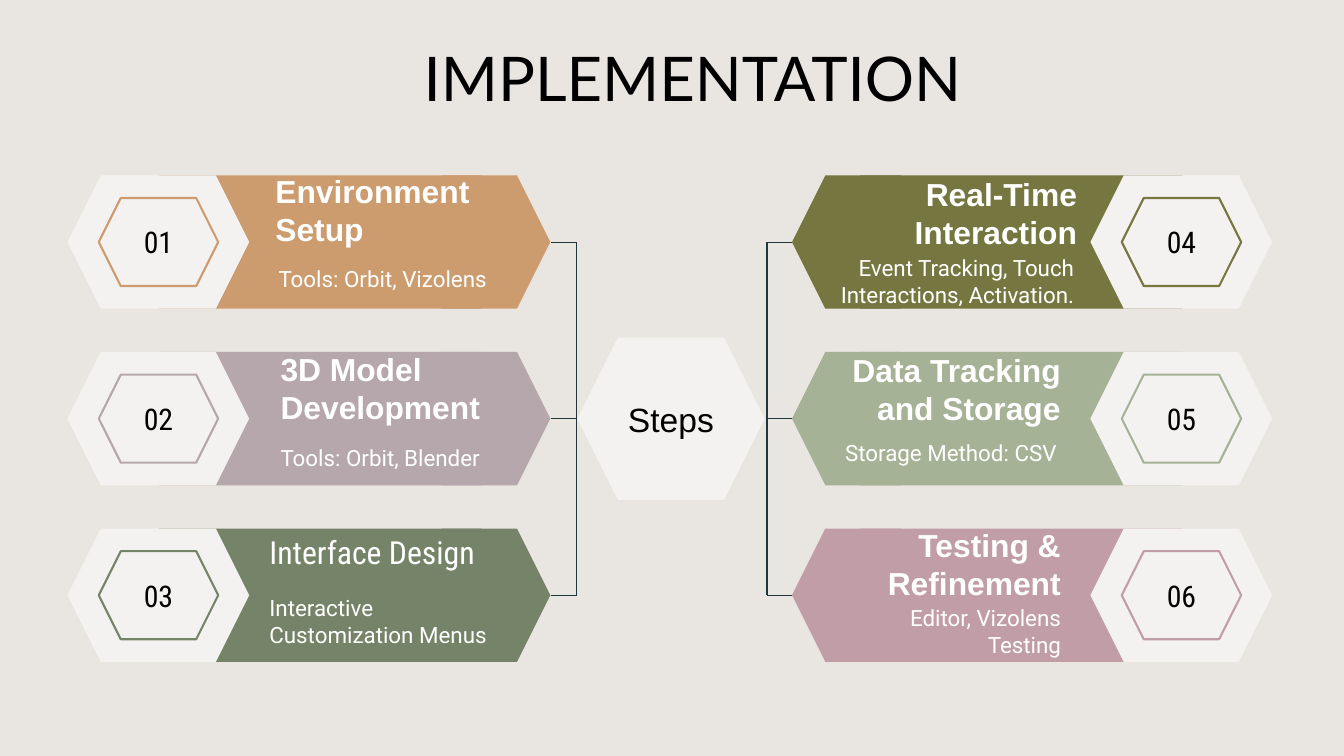
"""Build the IMPLEMENTATION slide: six step banners joined to a central hexagon."""
from dataclasses import dataclass

from lxml.etree import SubElement
from pptx import Presentation
from pptx.dml.color import RGBColor
from pptx.enum.shapes import MSO_CONNECTOR, MSO_SHAPE
from pptx.enum.text import MSO_ANCHOR, PP_ALIGN
from pptx.oxml.ns import qn
from pptx.util import Cm, Pt

BACKGROUND = RGBColor(0xE9, 0xE5, 0xE1)
PALE = RGBColor(0xF4, 0xF2, 0xF0)
BLACK = RGBColor(0x00, 0x00, 0x00)
WHITE = RGBColor(0xFF, 0xFF, 0xFF)
BRACKET = RGBColor(0x21, 0x36, 0x3B)
ORANGE = RGBColor(0xCC, 0x9C, 0x6F)
MAUVE = RGBColor(0xB5, 0xA7, 0xAC)
GREEN = RGBColor(0x75, 0x84, 0x68)
OLIVE = RGBColor(0x76, 0x76, 0x40)
SAGE = RGBColor(0xA5, 0xB2, 0x95)
PINK = RGBColor(0xC1, 0x9D, 0xA7)

FIRST_TOP, ROW_PITCH, BANNER_HEIGHT = 4.42, 4.45, 3.36
INSET = 0.34


@dataclass(frozen=True)
class Area:
    left: float
    top: float
    width: float
    height: float


@dataclass(frozen=True)
class Style:
    font: str
    size: float
    color: RGBColor
    bold: bool = False


@dataclass(frozen=True)
class Label:
    text: str
    area: Area
    style: Style
    align: PP_ALIGN = PP_ALIGN.LEFT
    anchor: MSO_ANCHOR = MSO_ANCHOR.MIDDLE


@dataclass(frozen=True)
class Side:
    tip: float
    bar: float
    badge: float
    ring: float
    stub: float
    spine: float


@dataclass(frozen=True)
class Step:
    number: str
    side: Side
    row: int
    color: RGBColor
    detail: Label
    heading: Label


HEADING = Style("Arial", 22.7, WHITE, True)
LIGHT_HEADING = Style("Roboto Condensed", 22.7, WHITE)
DETAIL = Style("Roboto", 16, WHITE)
NUMBER = Style("Roboto Condensed", 21.3, BLACK)
HUB = Style("Arial", 24, BLACK)
TITLE = Style("Lato", 44, BLACK)

LEFT = Side(10.29, 4.01, 1.7, 2.49, 13.88, 14.53)
RIGHT = Side(19.96, 21.68, 27.48, 28.27, 19.96, 19.33)
END, TOP = PP_ALIGN.RIGHT, MSO_ANCHOR.TOP

STEPS = [
    Step("04", RIGHT, 0, OLIVE,
         Label("Event Tracking, Touch Interactions, Activation.",
               Area(20.68, 6.07, 6.73, 1.4), DETAIL, END, TOP),
         Label("Real-Time Interaction", Area(20.75, 4.62, 6.73, 1.47), HEADING, END)),
    Step("05", RIGHT, 1, SAGE,
         Label("Storage Method: CSV", Area(20.74, 10.72, 6.45, 1.4), DETAIL,
               PP_ALIGN.CENTER, TOP),
         Label("Data Tracking and Storage", Area(20.75, 9.22, 6.32, 1.14), HEADING, END)),
    Step("06", RIGHT, 2, PINK,
         Label("Editor, Vizolens Testing", Area(20.68, 14.88, 6.4, 1.4), DETAIL, END, TOP),
         Label("Testing & Refinement", Area(20.75, 13.54, 6.32, 1.35), HEADING, END)),
    Step("01", LEFT, 0, ORANGE,
         Label("Tools: Orbit, Vizolens", Area(6.68, 6.58, 6.27, 0.89), DETAIL),
         Label("Environment Setup", Area(6.6, 4.62, 6.38, 1.35), HEADING)),
    Step("02", LEFT, 1, MAUVE,
         Label("Tools: Orbit, Blender", Area(6.73, 10.95, 5.89, 1.17), DETAIL),
         Label("3D Model Development", Area(6.73, 9.19, 6.35, 1.17), HEADING)),
    Step("03", LEFT, 2, GREEN,
         Label("Interactive Customization Menus", Area(6.45, 14.63, 6.53, 2.06),
               DETAIL, anchor=TOP),
         Label("Interface Design", Area(6.45, 13.36, 6.53, 1.09), LIGHT_HEADING)),
]


def place(area: Area) -> tuple:
    """Turn an area in centimetres into lengths."""
    return Cm(area.left), Cm(area.top), Cm(area.width), Cm(area.height)


def write(box, text: str, style: Style, align: PP_ALIGN, anchor: MSO_ANCHOR,
          wrap: bool = True) -> None:
    """Put one styled paragraph into a box."""
    frame = box.text_frame
    frame.text = text
    frame.word_wrap = wrap
    frame.vertical_anchor = anchor
    frame.margin_left = frame.margin_right = Cm(INSET)
    frame.margin_top = frame.margin_bottom = Cm(INSET)
    para = frame.paragraphs[0]
    para.alignment = align
    span = para.runs[0]
    span.font.name = style.font
    span.font.size = Pt(style.size)
    span.font.bold = style.bold
    span.font.color.rgb = style.color


def add_label(page, label: Label) -> None:
    """Add a text box."""
    box = page.shapes.add_textbox(*place(label.area))
    write(box, label.text, label.style, label.align, label.anchor)


def add_filled(page, kind: MSO_SHAPE, area: Area, color: RGBColor):
    """Add a flat shape without an outline."""
    shape = page.shapes.add_shape(kind, *place(area))
    shape.shadow.inherit = False
    shape.fill.solid()
    shape.fill.fore_color.rgb = color
    shape.line.fill.background()
    return shape


def add_line(page, start: tuple[float, float], end: tuple[float, float]) -> None:
    """Add a thin straight connector."""
    points = [Cm(value) for value in (*start, *end)]
    line = page.shapes.add_connector(MSO_CONNECTOR.STRAIGHT, *points)
    line.line.color.rgb = BRACKET
    line.line.width = Pt(0.75)
    SubElement(line._element.spPr, qn("a:effectLst"))


def row_center(row: int) -> float:
    """Return the vertical centre of a banner row."""
    return FIRST_TOP + row * ROW_PITCH + BANNER_HEIGHT / 2


def add_step(page, step: Step) -> None:
    """Draw a banner with its number badge and texts."""
    side, top = step.side, FIRST_TOP + step.row * ROW_PITCH
    hexagon = MSO_SHAPE.HEXAGON
    add_filled(page, hexagon, Area(side.tip, top, 3.58, BANNER_HEIGHT), step.color)
    add_filled(page, MSO_SHAPE.RECTANGLE, Area(side.bar, top, 8.12, BANNER_HEIGHT), step.color)
    add_filled(page, hexagon, Area(side.badge, top, 4.58, BANNER_HEIGHT), PALE)
    ring = add_filled(page, hexagon, Area(side.ring, top + 0.57, 3.01, 2.22), PALE)
    ring.fill.background()
    ring.line.color.rgb = step.color
    ring.line.width = Pt(1.5)
    write(ring, step.number, NUMBER, PP_ALIGN.CENTER, MSO_ANCHOR.MIDDLE, wrap=False)
    add_label(page, step.detail)
    add_label(page, step.heading)


def main() -> None:
    """Build and save the deck."""
    deck = Presentation()
    deck.slide_width, deck.slide_height = Cm(33.87), Cm(19.05)
    page = deck.slides.add_slide(deck.slide_layouts[6])
    page.background.fill.solid()
    page.background.fill.fore_color.rgb = BACKGROUND
    add_label(page, Label("IMPLEMENTATION", Area(2.22, 1.04, 30.48, 1.78), TITLE,
                          PP_ALIGN.CENTER))
    for step in STEPS:
        add_step(page, step)
    hub = add_filled(page, MSO_SHAPE.HEXAGON, Area(14.55, 8.51, 4.72, 4.09), PALE)
    write(hub, "Steps", HUB, PP_ALIGN.CENTER, MSO_ANCHOR.MIDDLE, wrap=False)
    for side in (LEFT, RIGHT):
        add_line(page, (side.spine, row_center(0)), (side.spine, row_center(2)))
        for row in range(3):
            add_line(page, (side.stub, row_center(row)), (side.spine, row_center(row)))
    deck.save("out.pptx")


if __name__ == "__main__":
    main()
